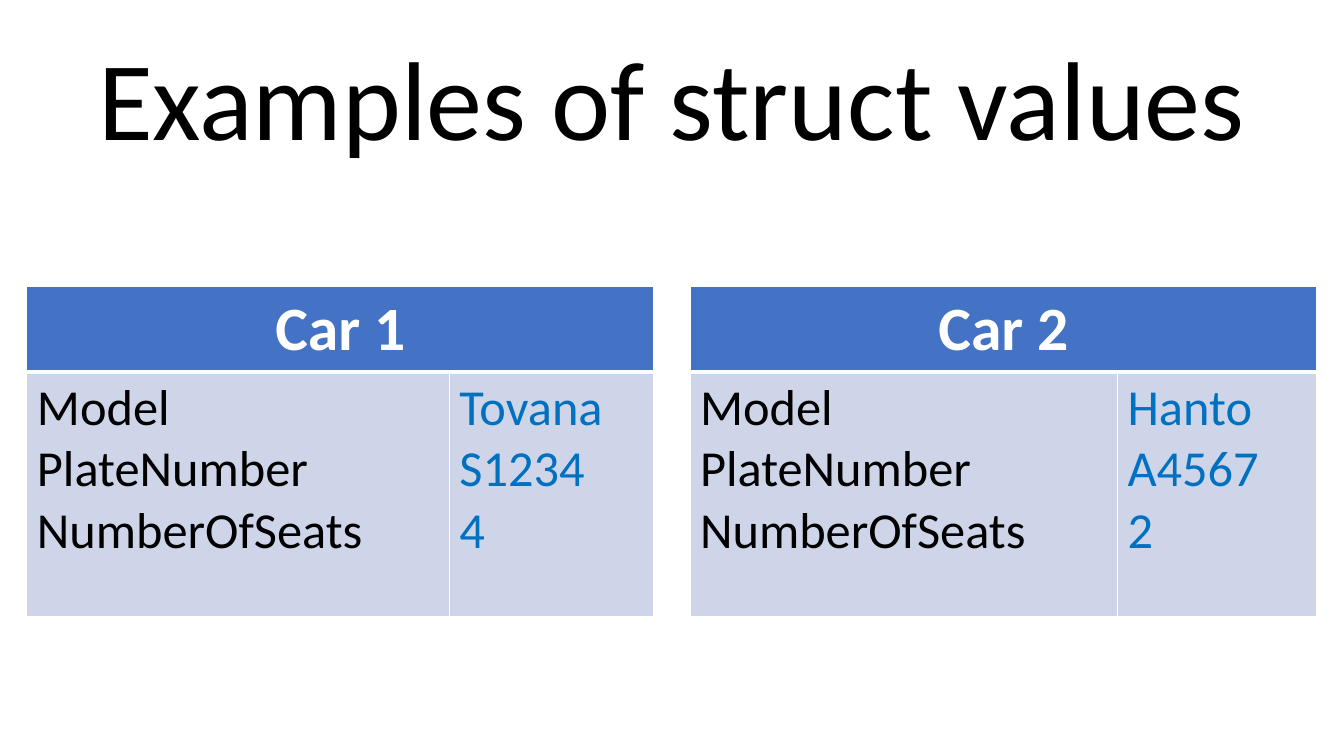
from lxml.etree import SubElement
from pptx import Presentation
from pptx.dml.color import RGBColor
from pptx.enum.text import MSO_ANCHOR as Anchor, PP_ALIGN as Align
from pptx.oxml.ns import qn
from pptx.util import Inches, Pt

WIDTH, HEIGHT = 13.33, 7.5
MARGIN = WIDTH * 0.02
TABLE_WIDTH = 6.22
TABLE_TOP = HEIGHT * 0.379
ROW_HEIGHTS = (0.81, 2.43)
FIELDS = ("Model", "PlateNumber", "NumberOfSeats")
CARS = (
    ("Car 1", ("Tovana", "S1234", "4"), 4.19),
    ("Car 2", ("Hanto", "A4567", "2"), 4.24),
)


def color(code):
    return RGBColor.from_string(code)


def write(frame, lines, size, code, bold=False, align=Align.LEFT):
    frame.text = "\n".join(lines)
    for para in frame.paragraphs:
        para.alignment = align
        for span in para.runs:
            span.font.name = "Calibri"
            span.font.size = Pt(size)
            span.font.bold = bold
            span.font.color.rgb = color(code)


def add_title(page, text):
    title = page.shapes.title
    title.left, title.top = Inches(MARGIN), Inches(0.31)
    title.width, title.height = Inches(WIDTH - 2 * MARGIN), Inches(1.45)
    frame = title.text_frame
    frame.word_wrap = True
    frame.vertical_anchor = Anchor.MIDDLE
    write(frame, [text], 80, "000000", align=Align.CENTER)
    frame.paragraphs[0].line_spacing = 0.9


def style_cell(cell, fill, top=0.96, bottom=0.96):
    properties = cell._tc.get_or_add_tcPr()
    for side, width in (("L", 0.96), ("R", 0.96), ("T", top), ("B", bottom)):
        line = SubElement(properties, qn(f"a:ln{side}"), w=str(Pt(width)))
        solid = SubElement(line, qn("a:solidFill"))
        SubElement(solid, qn("a:srgbClr"), val="FFFFFF")
    cell.fill.solid()
    cell.fill.fore_color.rgb = color(fill)


def add_car(page, left, name, values, field_width):
    table = page.shapes.add_table(
        2, 2, Inches(left), Inches(TABLE_TOP),
        Inches(TABLE_WIDTH), Inches(sum(ROW_HEIGHTS)),
    ).table
    for column, width in zip(table.columns, (field_width, TABLE_WIDTH - field_width)):
        column.width = Inches(width)
    for row, height in zip(table.rows, ROW_HEIGHTS):
        row.height = Inches(height)
    for column in range(2):
        style_cell(table.cell(0, column), "4472C4", bottom=3)
        style_cell(table.cell(1, column), "CFD5E9", top=3)
    header = table.cell(0, 0)
    header.merge(table.cell(0, 1))
    write(header.text_frame, [name], 44, "FFFFFF", True, Align.CENTER)
    write(table.cell(1, 0).text_frame, FIELDS, 36, "000000")
    write(table.cell(1, 1).text_frame, values, 36, "0070C0")


def main():
    deck = Presentation()
    deck.slide_width, deck.slide_height = Inches(WIDTH), Inches(HEIGHT)
    page = deck.slides.add_slide(deck.slide_layouts[5])
    add_title(page, "Examples of struct values")
    lefts = (MARGIN, WIDTH - MARGIN - TABLE_WIDTH)
    for left, (name, values, field_width) in zip(lefts, CARS):
        add_car(page, left, name, values, field_width)
    deck.save("out.pptx")


if __name__ == "__main__":
    main()
